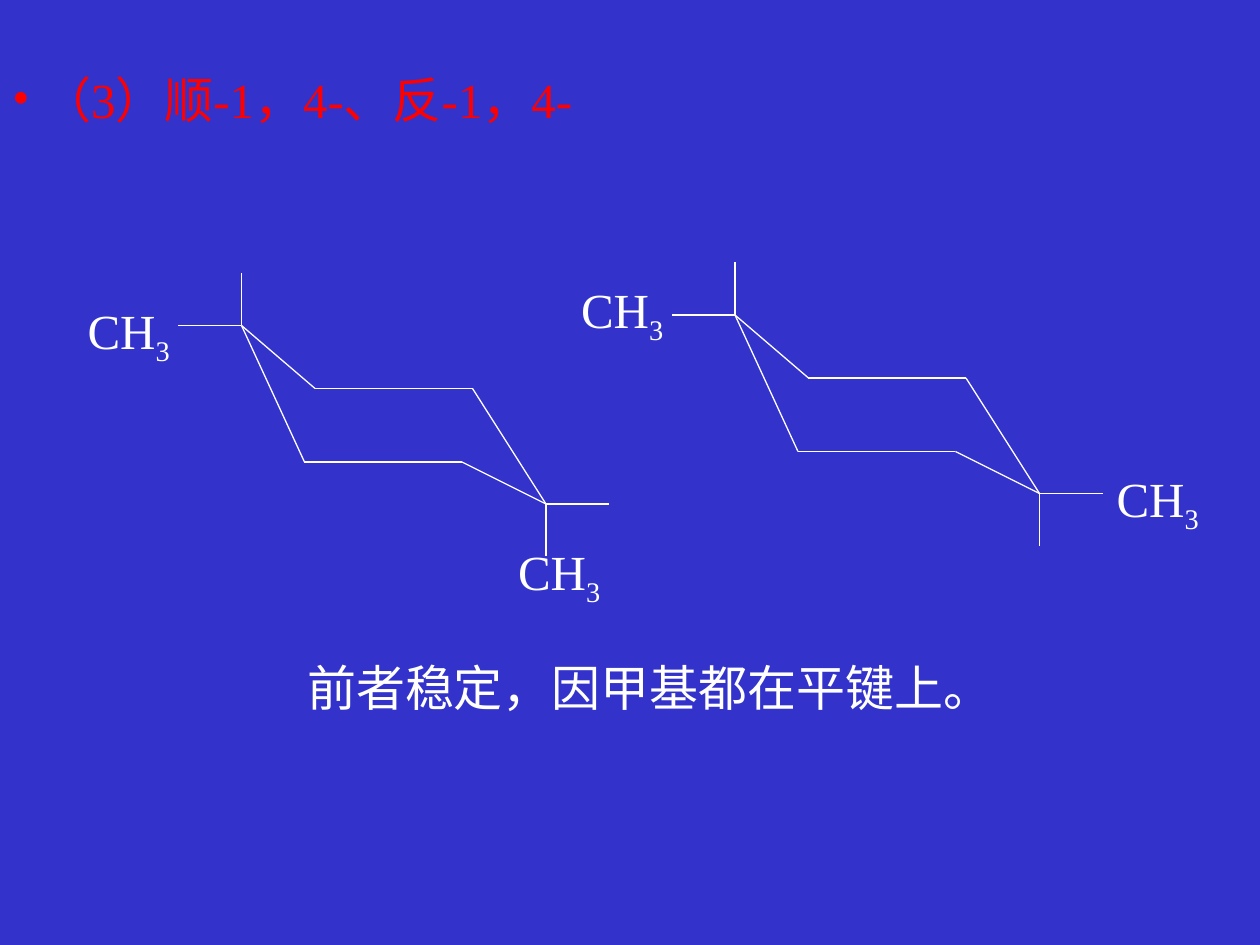
from dataclasses import dataclass

from lxml.etree import SubElement
from pptx import Presentation
from pptx.dml.color import RGBColor
from pptx.enum.shapes import MSO_CONNECTOR
from pptx.enum.text import MSO_AUTO_SIZE
from pptx.oxml.ns import qn
from pptx.util import Pt


@dataclass(frozen=True)
class Theme:
    background: RGBColor = RGBColor(0x33, 0x33, 0xCC)
    ink: RGBColor = RGBColor(0xFF, 0xFF, 0xFF)
    accent: RGBColor = RGBColor(0xFF, 0x00, 0x00)
    font: str = "Times New Roman"
    text_size: float = 28
    bond_width: float = 0.75


class SlideBuilder:
    """Draw chair conformations and their captions on one slide."""

    def __init__(self, deck, theme):
        self.theme = theme
        self.page = deck.slides.add_slide(deck.slide_layouts[6])
        fill = self.page.background.fill
        fill.solid()
        fill.fore_color.rgb = theme.background

    def bond(self, start, end):
        line = self.page.shapes.add_connector(
            MSO_CONNECTOR.STRAIGHT, *(Pt(value) for value in (*start, *end))
        )
        line.line.color.rgb = self.theme.ink
        line.line.width = Pt(self.theme.bond_width)
        SubElement(line._element.spPr, qn("a:effectLst"))

    def chair(self, left, top):
        def place(point):
            return left + point[0], top + point[1]

        ring = [(0, 0), (42, 36), (132, 36), (174, 102), (126, 78), (36, 78)]
        for start, end in zip(ring, ring[1:] + ring[:1]):
            self.bond(place(start), place(end))
        for carbon, side in ((ring[0], -1), (ring[3], 1)):
            x, y = carbon
            self.bond(place(carbon), place((x + 36 * side, y)))
            self.bond(place(carbon), place((x, y + 30 * side)))

    def text(self, left, top, width, height, words, color=None, wrap=False):
        box = self.page.shapes.add_textbox(Pt(left), Pt(top), Pt(width), Pt(height))
        box.text_frame.word_wrap = wrap
        box.text_frame.auto_size = MSO_AUTO_SIZE.SHAPE_TO_FIT_TEXT
        box.text_frame.text = words
        para = box.text_frame.paragraphs[0]
        for span in para.runs:
            self.style(span, color)
        return para

    def style(self, span, color=None):
        span.font.name = self.theme.font
        span.font.size = Pt(self.theme.text_size)
        span.font.color.rgb = color or self.theme.ink

    def bullet_text(self, left, top, width, height, words):
        para = self.text(left, top, width, height, words, self.theme.accent, wrap=True)
        properties = para._p.get_or_add_pPr()
        properties.set("marL", str(Pt(17)))
        properties.set("indent", str(Pt(-17)))
        bullet_color = SubElement(properties, qn("a:buClr"))
        SubElement(bullet_color, qn("a:srgbClr"), val=str(self.theme.accent))
        SubElement(properties, qn("a:buFont"), typeface=self.theme.font)
        SubElement(properties, qn("a:buChar"), char="•")

    def methyl(self, left, top):
        para = self.text(left, top, 62, 45, "CH")
        subscript = para.add_run()
        subscript.text = "3"
        self.style(subscript)
        subscript.font._element.set("baseline", "-25000")


def main():
    deck = Presentation()
    deck.slide_width, deck.slide_height = Pt(720), Pt(540)
    slide = SlideBuilder(deck, Theme())
    slide.chair(138, 186)
    slide.chair(420, 180)
    for left, top in ((43, 168), (325, 156), (289, 306), (631, 264)):
        slide.methyl(left, top)
    slide.bullet_text(0, 36, 387, 41, "（3）顺-1，4-、反-1，4-")
    slide.text(168.5, 372, 405, 41, "前者稳定，因甲基都在平键上。")
    deck.save("out.pptx")


if __name__ == "__main__":
    main()
